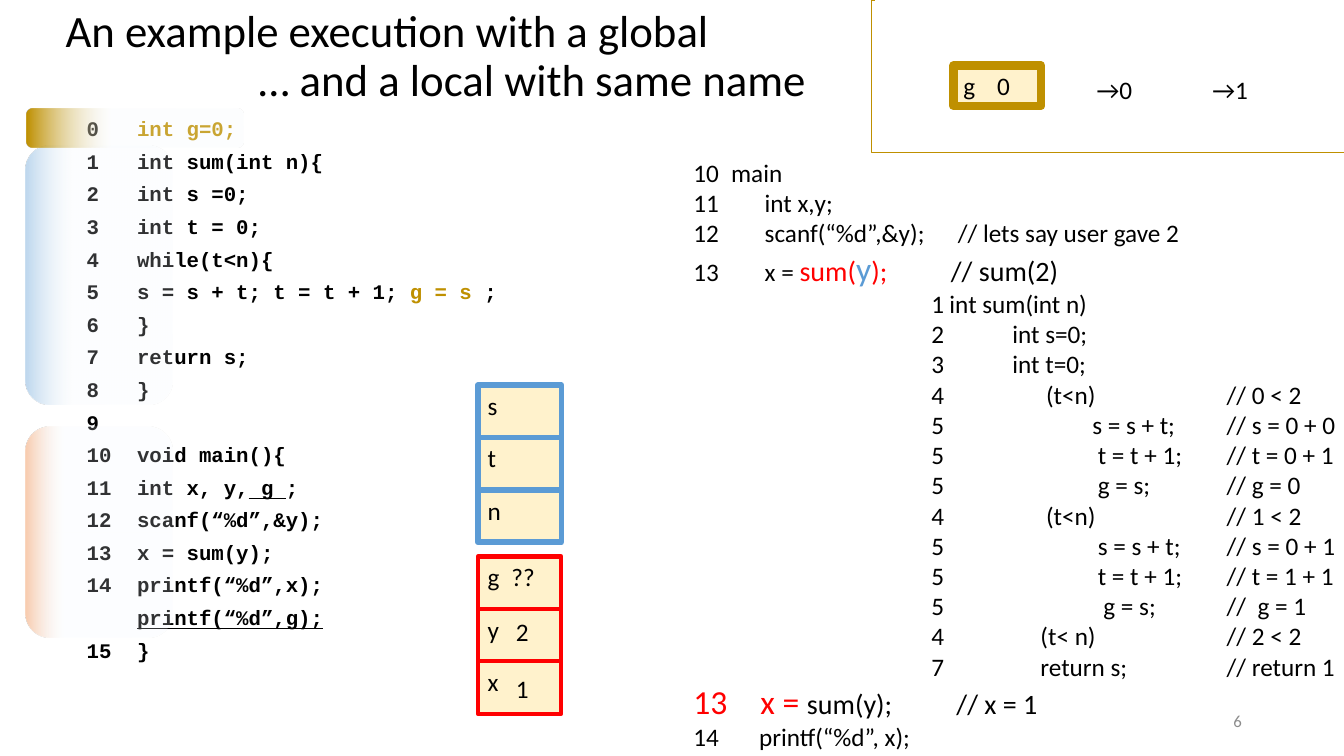
import pptx
import pptx.dml.color
import pptx.enum.shapes
import pptx.enum.text
import pptx.oxml
import pptx.oxml.ns
import pptx.util
from lxml import etree

Pt = pptx.util.Pt
COLOURS = {"black": "000000", "gold": "BF9000", "red": "FF0000", "blue": "5B9BD5",
           "cream": "FFF2CC", "pale": "F7FAFD", "sky": "BDD7EE", "peach": "F8CBAD",
           "grey": "8C8C8C"}
SANS, MONO = "Calibri", "Courier New"
INCH = 72
CHARACTER = 8.88  # advance of one code character

# A run is (text, style); styles not given keep the defaults of its text.
TITLE = [("An example execution with a global", 0),
         ("… and a local with same name", 138)]
UNDERLINE = {"underline": True}
GOLD, RED = {"colour": "gold"}, {"colour": "red"}
CODE = [  # number, column, runs
    ("0", 4, [("int g=0;", GOLD)]),
    ("1", 4, [("int sum(int n){", {})]),
    ("2", 14, [("int s =0;", {})]),
    ("3", 14, [("int t = 0;", {})]),
    ("4", 13, [("while(t<n){", {})]),
    ("5", 17, [("s = s + t; t = t + 1; ", {}), ("g = s ", GOLD), (";", {})]),
    ("6", 13, [("}", {})]),
    ("7", 13, [("return s;", {})]),
    ("8", 4, [("}", {})]),
    ("9", 4, []),
    ("10", 4, [("void main(){", {})]),
    ("11", 13, [("int x, y,", {}), (" g ", UNDERLINE), (";", {})]),
    ("12", 13, [("scanf(“%d”,&y);", {})]),
    ("13", 13, [("x = sum(y);", {})]),
    ("14", 13, [("printf(“%d”,x);", {})]),
    ("", 13, [("printf(“%d”,g);", UNDERLINE)]),
    ("15", 4, [("}", {})]),
]
BIG = {"size": 20}
MAIN_START = [  # tab stops, runs
    ([27], [("10\tmain", {})]),
    ([51], [("11\tint x,y;", {})]),
    ([51, 189], [("12\tscanf(“%d”,&y);\t// lets say user gave 2", {})]),
    ([51, 184], [("13\tx = ", {}), ("sum(", {**BIG, **RED}),
                 ("y", {"size": 24, "colour": "blue"}), (");", {**BIG, **RED}),
                 ("\t// sum(2)", BIG)]),
]
CALL = [  # number, code position, code, comment
    (1, 183, "int sum(int n)", ""),
    (2, 228, "int s=0;", ""),
    (3, 228, "int t=0;", ""),
    (4, 252, "(t<n)", "// 0 < 2"),
    (5, 285, "s = s + t;", "// s = 0 + 0"),
    (5, 289, "t = t + 1;", "// t = 0 + 1"),
    (5, 289, "g = s;", "// g = 0"),
    (4, 252, "(t<n)", "// 1 < 2"),
    (5, 289, "s = s + t;", "// s = 0 + 1"),
    (5, 289, "t = t + 1;", "// t = 1 + 1"),
    (5, 293, "g = s;", "//  g = 1"),
    (4, 248, "(t< n)", "// 2 < 2"),
    (7, 248, "return s;", "// return 1"),
]
MAIN_END = [
    ([48, 188], [("13\tx = ", {"size": 24, **RED}), ("sum(y);\t// x = 1", BIG)]),
    ([47], [("14\tprintf(“%d”, x);", {})]),
]
CALL_NUMBER, CALL_COMMENT = 170, 381
FRAMES = [  # top, line colour, line width, variables
    (3.82, "blue", 4, ["s", "t", "n"]),
    (5.52, "red", 3, ["g\t??", "y", "x"]),
]
CELL_LEFT, CELL_WIDTH, CELL_HEIGHT = 4.74, 0.83, 0.52
LABELS = [  # left, top, width, text
    (5.02, 6.07, 0.4, "2"), (5.02, 6.63, 0.4, "1"),
    (10.78, 0.69, 0.58, "→0"), (11.93, 0.69, 0.58, "→1"),
]
BANDS = [  # left, top, width, height, colour, where the fade ends (percent)
    (0.25, 1.45, 1.46, 2.56, "sky", 67),
    (0.25, 4.23, 1.46, 2.09, "peach", 74),
    (0.26, 1.08, 2.16, 0.38, "gold", 61),
]


def rgb(name):
    """Return the named colour."""
    return pptx.dml.color.RGBColor.from_string(COLOURS[name])


def place(*inches):
    """Turn inches into lengths in points."""
    return [Pt(round(value * INCH, 2)) for value in inches]


def write(para, runs, font=SANS, size=18, colour="black", bold=False, tabs=()):
    """Add runs to a paragraph, with left (or, given as a pair, other) tab stops."""
    para.alignment = pptx.enum.text.PP_ALIGN.LEFT
    for text, style in runs:
        span = para.add_run()
        span.text = text
        span.font.name = font
        span.font.size = Pt(style.get("size", size))
        span.font.bold = bold
        span.font.underline = style.get("underline", False)
        span.font.color.rgb = rgb(style.get("colour", colour))
    if tabs:
        stops = etree.SubElement(para._p.get_or_add_pPr(), pptx.oxml.ns.qn("a:tabLst"))
        for stop in tabs:
            position, side = stop if isinstance(stop, tuple) else (stop, "l")
            etree.SubElement(stops, pptx.oxml.ns.qn("a:tab"),
                             pos=str(int(Pt(position))), algn=side)


def paragraphs(frame, count):
    """Return the given number of paragraphs of a text frame."""
    return [frame.paragraphs[0]] + [frame.add_paragraph() for _ in range(count - 1)]


def put_placeholder(box, *inches):
    """Move a placeholder, switch off its autofit and return its frame."""
    box.left, box.top, box.width, box.height = place(*inches)
    box.text_frame.auto_size = pptx.enum.text.MSO_AUTO_SIZE.NONE
    box.text_frame.word_wrap = True
    return box.text_frame


def add_text(page, *inches):
    """Add a wrapping text box and return its frame."""
    frame = page.shapes.add_textbox(*place(*inches)).text_frame
    frame.word_wrap = True
    return frame


def add_cell(page, left, top, width, height, text, line, weight, tab):
    """Add a memory cell holding a variable."""
    box = page.shapes.add_shape(pptx.enum.shapes.MSO_SHAPE.RECTANGLE,
                                *place(left, top, width, height))
    box.shadow.inherit = False
    box.fill.solid()
    box.fill.fore_color.rgb = rgb("cream")
    box.line.color.rgb = rgb(line)
    box.line.width = Pt(weight)
    box.text_frame.vertical_anchor = pptx.enum.text.MSO_ANCHOR.TOP
    write(box.text_frame.paragraphs[0], [(text, {})], tabs=[tab])


def add_band(page, left, top, width, height, colour, fade):
    """Add a rounded band that fades out to the right."""
    band = page.shapes.add_shape(pptx.enum.shapes.MSO_SHAPE.ROUNDED_RECTANGLE,
                                 *place(left, top, width, height))
    band.shadow.inherit = False
    band.line.fill.background()
    fill = pptx.oxml.parse_xml(
        f'<a:gradFill {pptx.oxml.ns.nsdecls("a")}><a:gsLst>'
        f'<a:gs pos="{fade * 1000}"><a:srgbClr val="{COLOURS["pale"]}">'
        f'<a:alpha val="20000"/></a:srgbClr></a:gs>'
        f'<a:gs pos="100000"><a:srgbClr val="{COLOURS[colour]}"/></a:gs>'
        f'</a:gsLst><a:lin ang="10800000" scaled="0"/></a:gradFill>')
    band._element.spPr.find(pptx.oxml.ns.qn("a:prstGeom")).addnext(fill)


def add_global_border(page):
    """Add the bent line around the global memory."""
    border = page.shapes.add_connector(pptx.enum.shapes.MSO_CONNECTOR.ELBOW,
                                       *place(8.68, 0, 13.33, 1.51))
    border.line.color.rgb = rgb("gold")
    border.line.width = Pt(0.5)
    outline = border._element.spPr
    guides = outline.find(".//" + pptx.oxml.ns.qn("a:avLst"))
    etree.SubElement(guides, pptx.oxml.ns.qn("a:gd"), name="adj1", fmla="val -800")
    etree.SubElement(outline, pptx.oxml.ns.qn("a:effectLst"))


deck = pptx.Presentation()
deck.slide_width, deck.slide_height = Pt(960), Pt(540)
page = deck.slides.add_slide(deck.slide_layouts[1])

title = put_placeholder(page.shapes.title, 0.55, -0.23, 11.87, 1.33)
title.vertical_anchor = pptx.enum.text.MSO_ANCHOR.BOTTOM
for para, (text, indent) in zip(paragraphs(title, len(TITLE)), TITLE):
    para.line_spacing = 0.9
    para._p.get_or_add_pPr().set("marL", str(int(Pt(indent))))
    write(para, [(text, {})], size=32)

code = put_placeholder(page.placeholders[1], 0.26, 1.13, 6.01, 5.7)
for para, (number, column, runs) in zip(paragraphs(code, len(CODE)), CODE):
    para.line_spacing, para.space_before = 0.9, Pt(7.3)
    properties = para._p.get_or_add_pPr()
    properties.set("marL", "0")
    properties.set("indent", "0")
    etree.SubElement(properties, pptx.oxml.ns.qn("a:buNone"))
    write(para, [(f"\t{number}\t", {})] + runs, font=MONO, size=14.8, bold=True,
          tabs=[(3 * CHARACTER, "r"), column * CHARACTER])

call_rows = [([CALL_NUMBER, position, CALL_COMMENT],
              [(f"\t{number}\t{text}" + (f"\t{comment}" if comment else ""), {})])
             for number, position, text, comment in CALL]
trace = MAIN_START + call_rows + MAIN_END
frame = add_text(page, 6.78, 1.51, 6.77, 6.0)
for para, (tabs, runs) in zip(paragraphs(frame, len(trace)), trace):
    write(para, runs, tabs=tabs)

for band in BANDS:
    add_band(page, *band)
for top, line, weight, variables in FRAMES:
    for row, text in enumerate(variables):
        add_cell(page, CELL_LEFT, top + row * CELL_HEIGHT, CELL_WIDTH, CELL_HEIGHT,
                 text, line, weight, 17)
add_cell(page, 9.46, 0.65, 0.87, 0.4, "g\t0", "gold", 6, 24)
add_global_border(page)
for left, top, width, text in LABELS:
    write(add_text(page, left, top, width, 0.4).paragraphs[0], [(text, {})])

number = add_text(page, 9.42, 6.95, 3, 0.4)
number.vertical_anchor = pptx.enum.text.MSO_ANCHOR.MIDDLE
write(number.paragraphs[0], [("6", {})], size=12, colour="grey")
number.paragraphs[0].alignment = pptx.enum.text.PP_ALIGN.RIGHT

deck.save("out.pptx")
